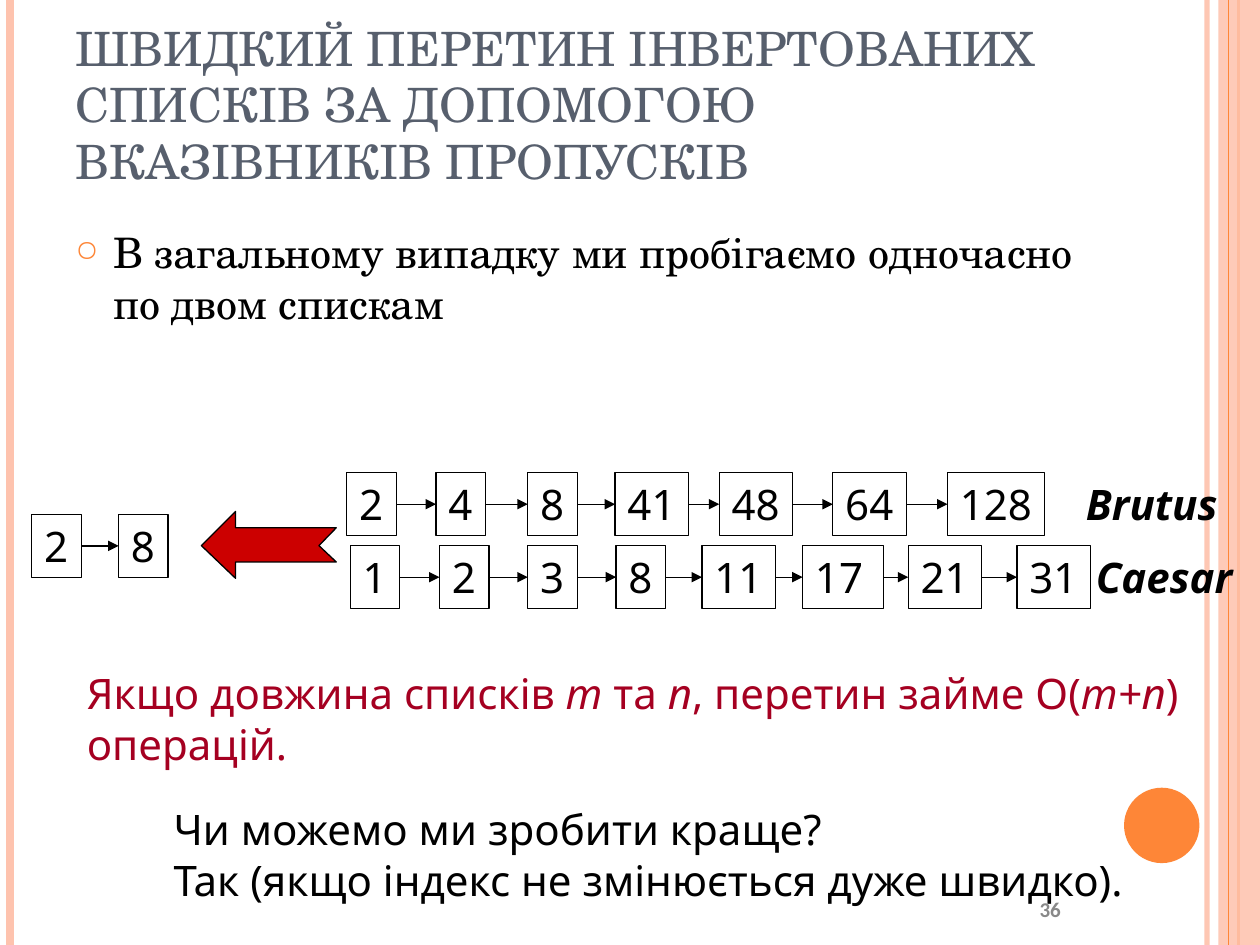
from dataclasses import dataclass
from itertools import pairwise

from pptx import Presentation
from pptx.dml.color import RGBColor as RGB
from pptx.enum.shapes import MSO_CONNECTOR as CONN, MSO_SHAPE as SHAPE
from pptx.enum.text import MSO_ANCHOR as ANCHOR, MSO_AUTO_SIZE as FIT, PP_ALIGN as ALIGN
from pptx.oxml.ns import qn
from pptx.oxml.xmlchemy import OxmlElement
from pptx.util import Cm, Pt


@dataclass(frozen=True)
class Theme:
    heading_font: str = "TeX Gyre Schola"
    text_font: str = "Noto Sans"
    number_font: str = "Calibri"
    title_size: float = 27
    text_size: float = 24
    text_pitch: float = 28.8
    number_size: float = 12
    ink: str = "000000"
    title: str = "575F6D"
    emphasis: str = "A50021"
    muted: str = "898989"
    accent: str = "FE8637"
    pale: str = "FEC3AE"
    arrow: str = "CC0000"
    thin: float = 0.75


T = Theme()
CELL_HEIGHT = 1.27
BRUTUS = [("2", 6.99), ("4", 8.79), ("8", 10.64), ("41", 12.4),
          ("48", 14.5), ("64", 16.79), ("128", 19.1)]
CAESAR = [("1", 7.06), ("2", 8.86), ("3", 10.64), ("8", 12.42),
          ("11", 14.15), ("17", 16.18, 1.63), ("21", 18.31), ("31", 20.5)]
RESULT = [("2", 0.64), ("8", 2.39)]
ARROW = [(6.78, 11.33), (4.75, 11.33), (4.75, 11.66), (4.06, 11.0),
         (4.75, 10.31), (4.75, 10.64), (6.78, 10.64), (6.43, 11.0)]


def set_alpha(parent, percent):
    for color in parent.iter(qn("a:srgbClr")):
        alpha = OxmlElement("a:alpha")
        alpha.set("val", str(percent * 1000))
        color.append(alpha)


def style_run(r, size=T.text_size, font=T.text_font, color=T.ink, bold=False, italic=False):
    f = r.font
    f.size, f.name, f.bold, f.italic = Pt(size), font, bold, italic
    f.color.rgb = RGB.from_string(color)


def write(tf, paragraphs, align=ALIGN.LEFT, anchor=ANCHOR.TOP, wrap=False, **style):
    tf.word_wrap, tf.auto_size, tf.vertical_anchor = wrap, FIT.NONE, anchor
    tf.text = "\n".join(paragraphs)
    for p in tf.paragraphs:
        p.alignment = align
        for r in p.runs:
            style_run(r, **style)
    for p in tf.paragraphs[1:]:
        p.line_spacing = Pt(T.text_pitch)


def add_text(slide, box, paragraphs, **options):
    tf = slide.shapes.add_textbox(*map(Cm, box)).text_frame
    write(tf, paragraphs, **options)
    return tf


def paint(sp, fill=None, line=None):
    sp.shadow.inherit = False
    if fill:
        sp.fill.solid()
        sp.fill.fore_color.rgb = RGB.from_string(fill)
    else:
        sp.fill.background()
    if line:
        sp.line.color.rgb = RGB.from_string(line)
        sp.line.width = Pt(T.thin)
    else:
        sp.line.fill.background()


def add_line(slide, start, end, color=T.ink, width=T.thin, alpha=None, arrow=False):
    line = slide.shapes.add_connector(CONN.STRAIGHT, *map(Cm, start + end))
    line.line.color.rgb = RGB.from_string(color)
    line.line.width = Pt(width)
    props = line._element.spPr
    if alpha:
        set_alpha(props, alpha)
    if arrow:
        tail = OxmlElement("a:tailEnd")
        tail.set("type", "triangle")
        props.find(qn("a:ln")).append(tail)
    props.append(OxmlElement("a:effectLst"))


def add_cell(slide, top, text, left, width=None):
    fitted = 0.52 + 0.48 * len(text)
    sp = slide.shapes.add_shape(
        SHAPE.RECTANGLE, *map(Cm, (left, top, width or fitted, CELL_HEIGHT)))
    paint(sp, line=T.ink)
    write(sp.text_frame, [text], wrap=width is not None)
    return sp


def add_list(slide, top, cells):
    boxes = [add_cell(slide, top, *cell) for cell in cells]
    middle = top + CELL_HEIGHT / 2
    for a, b in pairwise(boxes):
        add_line(slide, ((a.left + a.width).cm if hasattr(a.left + a.width, "cm")
                         else (a.left + a.width) / Cm(1), middle),
                 (b.left / Cm(1), middle), arrow=True)


def add_frame(slide):
    for x, color, width, alpha in [(24.33, T.pale, 3, 93), (0.2, T.pale, 4.5, None),
                                   (24.97, T.accent, 1.5, None)]:
        add_line(slide, (x, 0), (x, 19.05), color, width, alpha)
    band = slide.shapes.add_shape(SHAPE.RECTANGLE, Cm(24.56), 0, Cm(0.84), Cm(19.05))
    paint(band, T.pale)
    set_alpha(band._element.spPr, 87)
    add_line(slide, (24.77, 0), (24.77, 19.05), T.accent)
    disc = slide.shapes.add_shape(SHAPE.OVAL, Cm(22.66), Cm(15.88), Cm(1.52), Cm(1.52))
    paint(disc, T.accent)


def add_title(slide, text):
    sp = slide.shapes.title
    sp.left, sp.top, sp.width, sp.height = map(Cm, (1.27, 0.76, 20.75, 3.18))
    write(sp.text_frame, [text], anchor=ANCHOR.BOTTOM, wrap=True,
          size=T.title_size, font=T.heading_font, color=T.title)


def add_bullet(slide, box, text):
    p = add_text(slide, box, [text], wrap=True, font=T.heading_font).paragraphs[0]
    p.space_before = Pt(6)
    props = p._p.get_or_add_pPr()
    props.set("marL", str(Cm(0.76)))
    props.set("indent", str(-Cm(0.76)))
    color = OxmlElement("a:buClr")
    rgb = OxmlElement("a:srgbClr")
    rgb.set("val", T.accent)
    color.append(rgb)
    size = OxmlElement("a:buSzPct")
    size.set("val", "70000")
    char = OxmlElement("a:buChar")
    char.set("char", "○")
    props.extend([color, size, char])


def add_block_arrow(slide, points):
    start, *rest = [(Cm(x), Cm(y)) for x, y in points]
    builder = slide.shapes.build_freeform(*start)
    builder.add_line_segments(rest)
    paint(builder.convert_to_shape(), T.arrow, T.ink)


def add_complexity(slide):
    parts = ["Якщо довжина списків ", "m ", "та ", "n", ", перетин займе O(", "m+n", ")"]
    tf = add_text(slide, (1.5, 13.34, 22.5, 2.29), ["", "операцій."], color=T.emphasis)
    for i, part in enumerate(parts):
        r = tf.paragraphs[0].add_run()
        r.text = part
        style_run(r, color=T.emphasis, italic=i % 2 == 1)


def main():
    prs = Presentation()
    prs.slide_width, prs.slide_height = Cm(25.4), Cm(19.05)
    slide = prs.slides.add_slide(prs.slide_layouts[5])
    add_frame(slide)
    add_title(slide, "ШВИДКИЙ ПЕРЕТИН ІНВЕРТОВАНИХ СПИСКІВ ЗА ДОПОМОГОЮ ВКАЗІВНИКІВ ПРОПУСКІВ")
    add_bullet(slide, (1.27, 4.45, 20.75, 13.54),
               "В загальному випадку ми пробігаємо одночасно по двом спискам")
    for top, cells in [(9.53, BRUTUS), (11.0, CAESAR), (10.37, RESULT)]:
        add_list(slide, top, cells)
    for box, name in [((21.64, 9.53, 3.15, 1.27), "Brutus"),
                      ((21.84, 11.0, 3.25, 1.27), "Caesar")]:
        add_text(slide, box, [name], bold=True, italic=True)
    add_block_arrow(slide, ARROW)
    add_complexity(slide)
    add_text(slide, (3.25, 16.08, 19.74, 2.29),
             ["Чи можемо ми зробити краще?", "Так (якщо індекс не змінюється дуже швидко)."])
    add_text(slide, (18.21, 17.98, 5.92, 0.69), ["36"], align=ALIGN.CENTER,
             anchor=ANCHOR.MIDDLE, wrap=True, size=T.number_size,
             font=T.number_font, color=T.muted, bold=True)
    prs.save("out.pptx")


if __name__ == "__main__":
    main()
